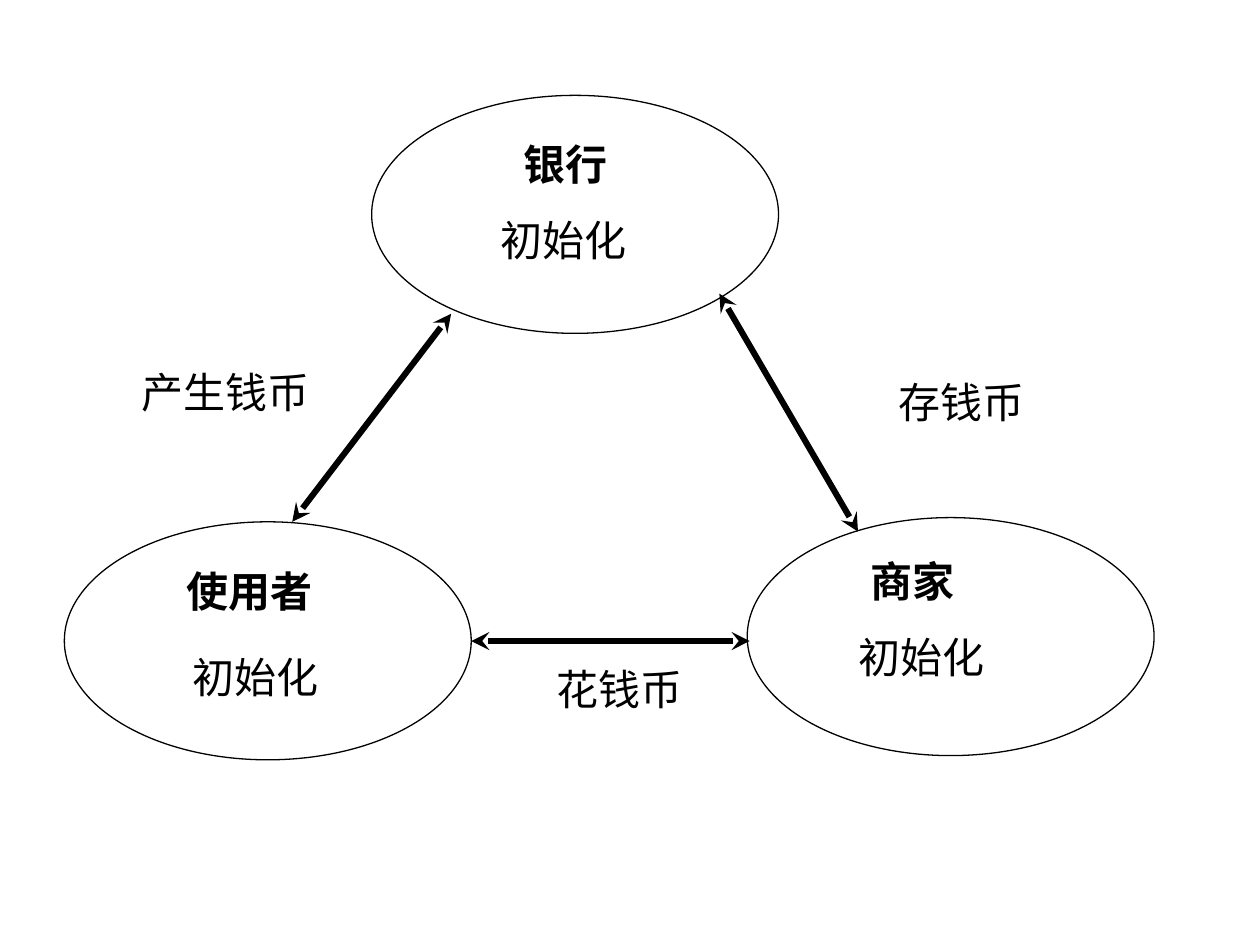
from lxml.etree import SubElement
from pptx import Presentation
from pptx.dml.color import RGBColor
from pptx.enum.shapes import MSO_CONNECTOR, MSO_SHAPE
from pptx.enum.text import MSO_AUTO_SIZE, PP_ALIGN
from pptx.oxml.ns import qn
from pptx.util import Pt

BLACK = "000000"
OVAL_W, OVAL_H = 232.5, 136
CHAR_W, INSET = 24, 7.2


def color(hex_value):
    return RGBColor.from_string(hex_value)


def add_text(s, text, left, top, height=36, bold=False, **para_format):
    """Add a one-line box as wide as its full-width characters."""
    width = CHAR_W * len(text) + 2 * INSET
    tb = s.shapes.add_textbox(Pt(left), Pt(top), Pt(width), Pt(height))
    tf = tb.text_frame
    tf.word_wrap = False
    tf.auto_size = MSO_AUTO_SIZE.SHAPE_TO_FIT_TEXT
    p = tf.paragraphs[0]
    for name, value in para_format.items():
        setattr(p, name, value)
    r = p.add_run()
    r.text = text
    for name, value in {"name": "Times New Roman", "size": Pt(24), "bold": bold}.items():
        setattr(r.font, name, value)
    r.font.color.rgb = color(BLACK)


prs = Presentation()
prs.slide_width, prs.slide_height = Pt(720), Pt(540)
s = prs.slides.add_slide(prs.slide_layouts[6])

# party, oval position, name position, step position
parties = [
    ("银行", (212.4, 54.5), (292.3, 75.6), (278.8, 122.4)),
    ("使用者", (36.8, 298.2), (99.4, 319.7), (103.2, 372.2)),
    ("商家", (427, 295.8), (490.3, 313.9), (483.8, 360.7)),
]
for party, (left, top), name_at, step_at in parties:
    sp = s.shapes.add_shape(MSO_SHAPE.OVAL, Pt(left), Pt(top), Pt(OVAL_W), Pt(OVAL_H))
    sp.shadow.inherit = False
    sp.fill.background()
    sp.line.color.rgb = color(BLACK)
    sp.line.width = Pt(0.75)
    add_text(s, party, *name_at, bold=True)
    add_text(s, "初始化", *step_at, height=33.1, line_spacing=0.9)

# label, label position, arrow start, arrow end
exchanges = [
    ("产生钱币", (73.4, 205.9), (167, 298.2), (257.8, 179.3)),
    ("花钱币", (311, 375.8), (269.3, 366.3), (428.4, 366.3)),
    ("存钱币", (506.2, 211.5), (411.1, 167.8), (490.3, 303.8)),
]
for label, label_at, start, end in exchanges:
    ends = [Pt(v) for v in start + end]
    line = s.shapes.add_connector(MSO_CONNECTOR.STRAIGHT, *ends)
    line.line.color.rgb = color(BLACK)
    line.line.width = Pt(3.5)
    ln = line.line._get_or_add_ln()
    for tag in ("a:headEnd", "a:tailEnd"):
        SubElement(ln, qn(tag), type="stealth")
    SubElement(line._element.spPr, qn("a:effectLst"))
    add_text(s, label, *label_at, alignment=PP_ALIGN.CENTER)

prs.save("out.pptx")
